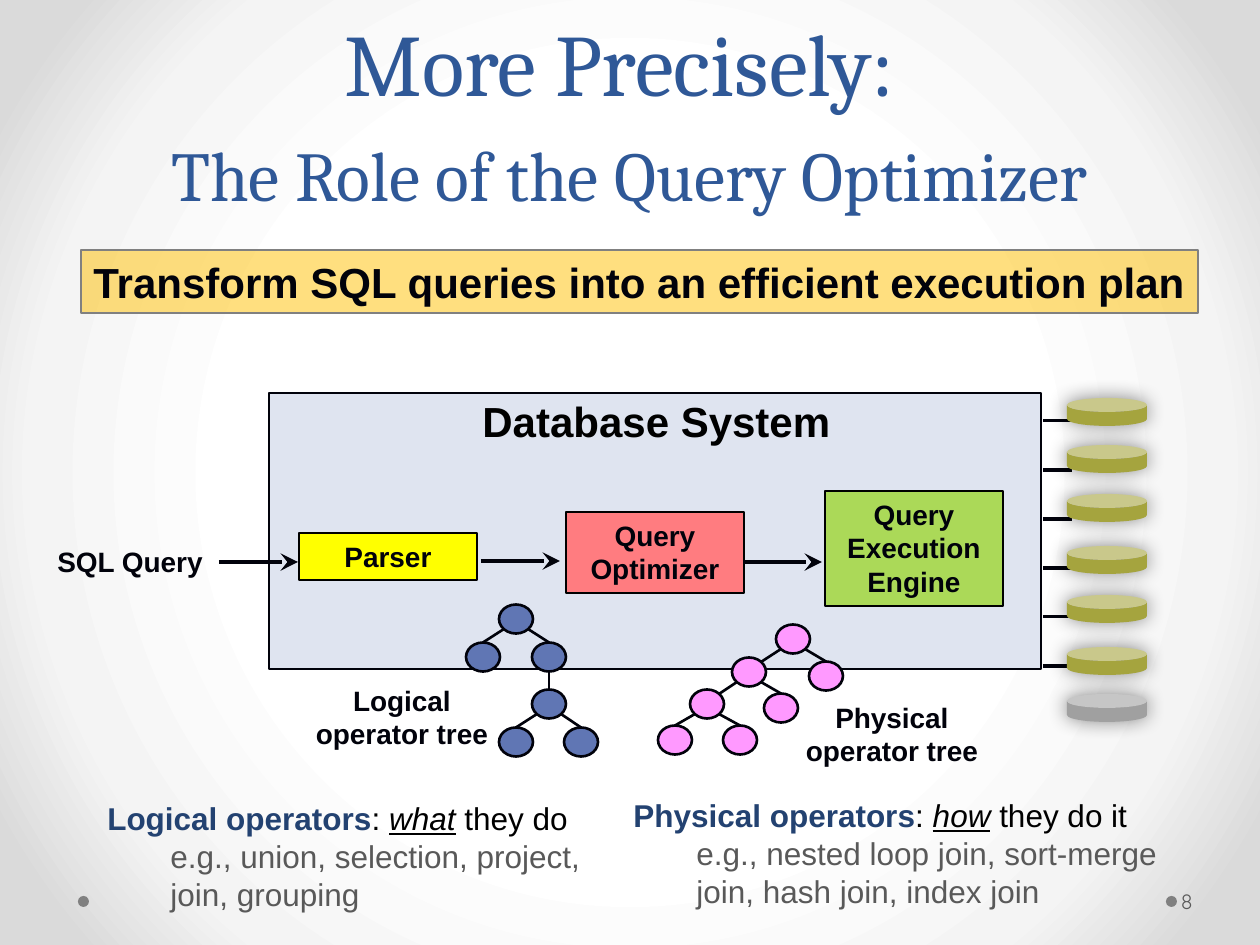
from lxml.etree import SubElement
from pptx import Presentation
from pptx.dml.color import RGBColor
from pptx.enum.shapes import MSO_CONNECTOR, MSO_SHAPE
from pptx.enum.text import MSO_ANCHOR, PP_ALIGN
from pptx.oxml import parse_xml
from pptx.oxml.ns import nsdecls, qn
from pptx.util import Pt

EMU_PER_PX = 914400 / 126
COLORS = {
    "ink": "01020B", "black": "000000", "title": "2F5897", "heading": "234271",
    "grey": "595959", "dot": "808080", "banner": "FFC000", "system": "DFE4F0",
    "parser": "FFFF00", "optimizer": "FF7C80", "engine": "ABD958",
    "logical": "6076B4", "physical": "FF99FF", "disk": "A5A43E", "faded": "A0A0A0",
}
NODE_WIDTH, NODE_HEIGHT = 34, 29
CORNER_X, CORNER_Y = 12, 10


def px(value):
    return round(value * EMU_PER_PX)


def color(name):
    return RGBColor.from_string(COLORS[name])


def set_background(slide):
    stops = "".join(
        f'<a:gs pos="{position}000"><a:srgbClr val="{value}"/></a:gs>'
        for position, value in ((50, "FFFFFF"), (76, "F4F4F4"), (92, "DADADA")))
    background = parse_xml(
        f'<p:bg {nsdecls("p", "a")}><p:bgPr><a:gradFill rotWithShape="1">'
        f'<a:gsLst>{stops}</a:gsLst><a:path path="circle">'
        '<a:fillToRect l="50000" t="50000" r="50000" b="50000"/></a:path>'
        '</a:gradFill><a:effectLst/></p:bgPr></p:bg>')
    slide.element.cSld.insert(0, background)


def format_run(run, size, color_name, bold=False, font="Arial", emphasis=False):
    run.font.size = Pt(size)
    run.font.name = font
    run.font.bold = bold
    run.font.italic = run.font.underline = emphasis
    run.font.color.rgb = color(color_name)


def write(shape, text, size, color_name="ink", bold=True, font="Arial",
          align=PP_ALIGN.LEFT, wrap=True, anchor=MSO_ANCHOR.TOP):
    frame = shape.text_frame
    frame.word_wrap = wrap
    frame.vertical_anchor = anchor
    frame.text = text
    paragraph = frame.paragraphs[0]
    paragraph.alignment = align
    for run in paragraph.runs:
        format_run(run, size, color_name, bold, font)
    return paragraph


def add_label(slide, box, text, size, **style):
    label = slide.shapes.add_textbox(*map(px, box))
    write(label, text, size, **style)
    return label


def add_box(slide, preset, box, fill, line=None, width=1.5):
    shape = slide.shapes.add_shape(preset, *map(px, box))
    shape.shadow.inherit = False
    shape.fill.solid()
    shape.fill.fore_color.rgb = color(fill)
    if line:
        shape.line.color.rgb = color(line)
        shape.line.width = Pt(width)
    else:
        shape.line.fill.background()
    return shape


def add_line(slide, start, end, width, arrow=False):
    line = slide.shapes.add_connector(
        MSO_CONNECTOR.STRAIGHT, *map(px, (*start, *end)))
    line.line.color.rgb = color("ink")
    line.line.width = Pt(width)
    if arrow:
        SubElement(line.line._get_or_add_ln(), qn("a:tailEnd"),
                   type="stealth", w="lg", len="lg")
    SubElement(line._element.spPr, qn("a:effectLst"))
    return line


def add_disk(slide, top, fill):
    disk = add_box(slide, MSO_SHAPE.CAN, (1067, top, 80, 28), fill)
    disk.adjustments[0] = 0.5
    glow = SubElement(disk._element.spPr.find(qn("a:effectLst")), qn("a:outerShdw"),
                      blurRad=str(px(20)), dist="0", algn="ctr", rotWithShape="0")
    tint = SubElement(glow, qn("a:srgbClr"), val=COLORS["black"])
    SubElement(tint, qn("a:alpha"), val="45000")


def add_tree(slide, fill, centers, edges):
    nodes = [add_box(slide, MSO_SHAPE.OVAL,
                     (x - NODE_WIDTH / 2, y - NODE_HEIGHT / 2, NODE_WIDTH, NODE_HEIGHT),
                     fill, "ink") for x, y in centers]
    for parent, child, joint in edges:
        (x, y), (child_x, child_y) = centers[parent], centers[child]
        side = (child_x > x) - (child_x < x)
        start = (x + side * CORNER_X, y + (CORNER_Y if side else NODE_HEIGHT / 2))
        end = (child_x - side * CORNER_X, child_y - CORNER_Y)
        line = add_line(slide, start, end, 1.5)
        if joint == "top":
            line.end_connect(nodes[child], 0)


def add_definition(slide, box, term, verb, rest, examples):
    shape = slide.shapes.add_textbox(*map(px, box))
    frame = shape.text_frame
    frame.word_wrap = True
    heading = frame.paragraphs[0]
    for text, color_name, bold, emphasis in (
            (term, "heading", True, False), (": ", "black", False, False),
            (verb, "black", False, True), (rest, "black", False, False)):
        run = heading.add_run()
        run.text = text
        format_run(run, 18, color_name, bold, emphasis=emphasis)
    detail = frame.add_paragraph()
    detail.text = examples
    detail.level = 1
    properties = detail._p.get_or_add_pPr()
    properties.set("marL", str(px(63)))
    properties.set("indent", "0")
    format_run(detail.runs[0], 18, "grey")


def add_title(slide):
    title = slide.shapes.add_textbox(*map(px, (16, 96, 1226, 126)))
    paragraph = write(title, "More Precisely: \vThe Role of the Query Optimizer", 50,
                      color_name="title", bold=False, font="Cambria",
                      align=PP_ALIGN.CENTER, anchor=MSO_ANCHOR.BOTTOM)
    paragraph.line_spacing = Pt(58)
    paragraph.runs[1].font.size = Pt(40)


def add_banner(slide):
    banner = add_box(slide, MSO_SHAPE.RECTANGLE, (81, 250, 1117, 63),
                     "banner", "dot", 0.75)
    fill = banner._element.spPr.find(qn("a:solidFill"))
    SubElement(fill[0], qn("a:alpha"), val="50000")
    write(banner, "Transform SQL queries into an efficient execution plan", 24)


def add_system(slide):
    add_box(slide, MSO_SHAPE.RECTANGLE, (269, 393, 772, 276), "system", "ink", 1)
    for row in range(6):
        y = 421 + 49 * row
        add_line(slide, (1072, y), (1043, y), 1.75)
    add_disk(slide, 694, "faded")
    for top in (398, 445, 494, 546, 595, 647):
        add_disk(slide, top, "disk")
    add_label(slide, (470, 389, 377, 63), "Database System", 24,
              color_name="black", wrap=False)


def add_pipeline(slide):
    for text, fill, box in (
            ("Query Execution Engine", "engine", (825, 491, 178, 115)),
            ("Query Optimizer", "optimizer", (566, 512, 178, 81)),
            ("Parser", "parser", (299, 533, 178, 47))):
        stage = add_box(slide, MSO_SHAPE.RECTANGLE, box, fill, "black")
        write(stage, text, 16, align=PP_ALIGN.CENTER)
    add_label(slide, (45, 538, 173, 81), "SQL Query", 16, wrap=False)
    for start, y in ((219, 562), (481, 561), (743, 562)):
        add_line(slide, (start, y), (start + 79, y), 2, arrow=True)


def main():
    presentation = Presentation()
    presentation.slide_width, presentation.slide_height = px(1260), px(945)
    slide = presentation.slides.add_slide(presentation.slide_layouts[6])
    set_background(slide)
    for x in (1166, 78):
        add_box(slide, MSO_SHAPE.OVAL, (x, 896, 11, 11), "dot")
    add_system(slide)
    add_title(slide)
    number = add_label(slide, (1177, 876, 77, 50), "8", 12, color_name="grey",
                       bold=False, font="Quicksand", anchor=MSO_ANCHOR.MIDDLE)
    number.text_frame.margin_left = px(4)
    add_banner(slide)
    add_pipeline(slide)
    add_tree(slide, "logical",
             [(516, 619), (483, 657), (549, 657), (549, 704), (516, 742), (581, 742)],
             [(0, 1, "top"), (0, 2, "top"), (2, 3, "top"), (3, 4, "top"), (3, 5, "top")])
    for text, x, y in (("Logical operator tree", 300, 677),
                       ("Physical operator tree", 790, 694)):
        add_label(slide, (x, y, 204, 81), text, 16, align=PP_ALIGN.CENTER)
    add_tree(slide, "physical",
             [(793, 639), (749, 672), (826, 676), (707, 704), (781, 708),
              (675, 740), (740, 740)],
             [(0, 1, "corner"), (0, 2, "top"), (1, 3, "corner"), (1, 4, "top"),
              (3, 5, "top"), (3, 6, "top")])
    add_definition(slide, (95, 793, 557, 127), "Logical operators", "what", " they do",
                   "e.g., union, selection, project, join, grouping")
    add_definition(slide, (621, 790, 567, 127), "Physical operators", "how", " they do it",
                   "e.g., nested loop join, sort-merge join, hash join, index join")
    presentation.save("out.pptx")


if __name__ == "__main__":
    main()
